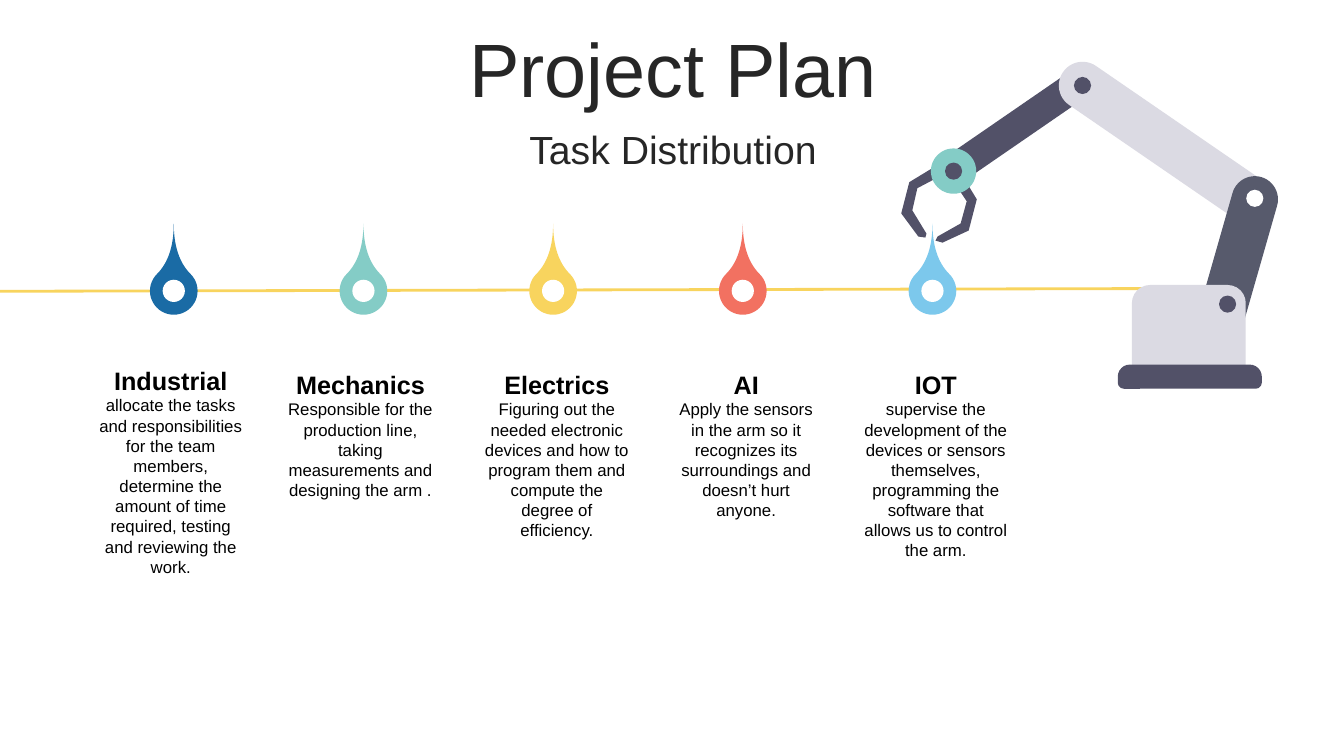
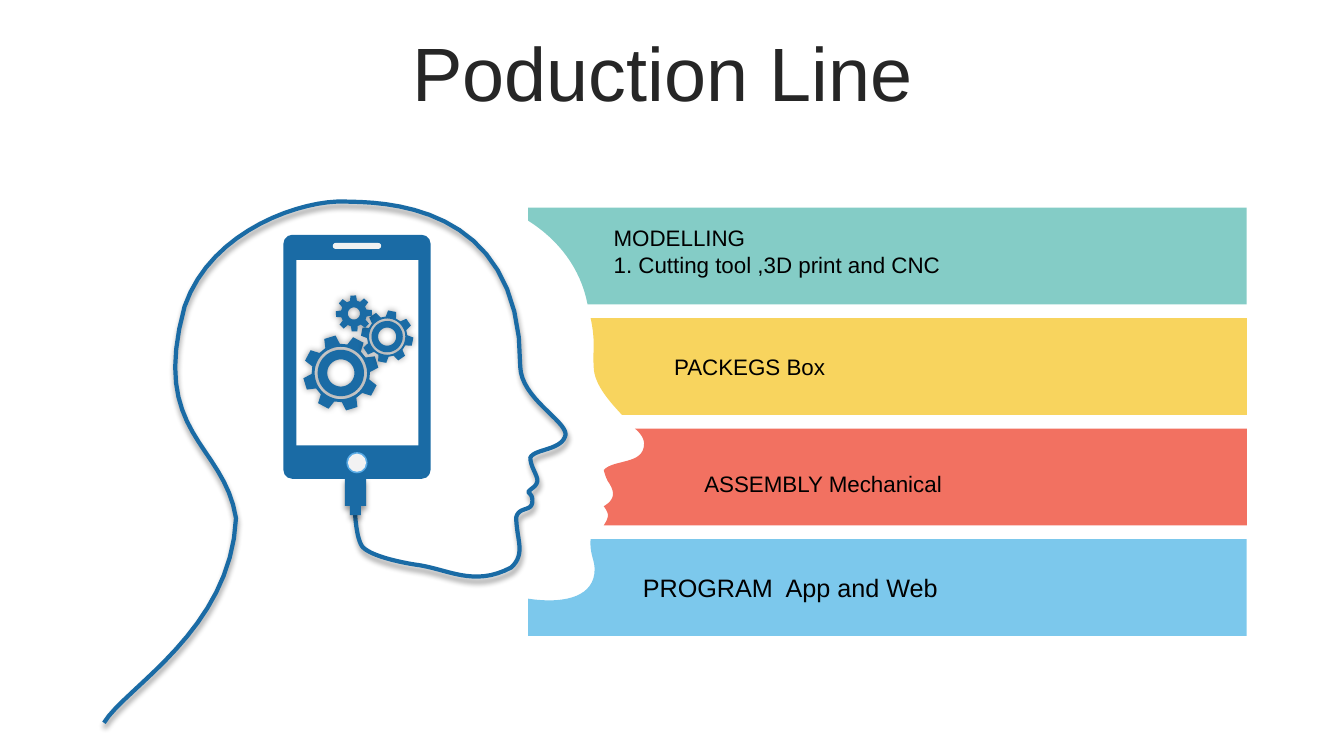
"""Builds a two-slide deck: a project task timeline and a production line."""
import dataclasses
import math

import lxml.etree
import pptx
import pptx.dml.color
import pptx.enum.shapes
import pptx.enum.text
import pptx.oxml.ns
import pptx.util

Cm = pptx.util.Cm
Pt = pptx.util.Pt
SHAPE = pptx.enum.shapes.MSO_SHAPE
ALIGN = pptx.enum.text.PP_ALIGN

FONT = "Arial"
BLACK, WHITE, TITLE = "000000", "FFFFFF", "262626"
BLUE, TEAL, YELLOW, RED, SKY = "1A6BA5", "84CCC6", "F8D45E", "F27161", "7CC8EC"
SLATE, STEEL, PALE, PAPER, RIM = "525168", "575A6C", "DBDAE3", "F2F2F2", "5AABE5"

TASKS = [
    (BLUE, 2.21, 9.07, "Industrial",
     "allocate the tasks and responsibilities for the team members, "
     "determine the amount of time required, testing and reviewing the work."),
    (TEAL, 6.99, 9.17, "Mechanics",
     "Responsible for the production line, taking measurements and "
     "designing the arm ."),
    (YELLOW, 11.94, 9.17, "Electrics",
     "Figuring out the needed electronic devices and how to program them "
     "and compute the degree of efficiency."),
    (RED, 16.71, 9.17, "AI",
     "Apply the sensors in the arm so it recognizes its surroundings and "
     "doesn’t hurt anyone."),
    (SKY, 21.49, 9.17, "IOT",
     "supervise the development of the devices or sensors themselves, "
     "programming the software that allows us to control the arm."),
]

BARS = [
    (TEAL, "M 0 0 L 713 0 L 713 96 L 59 96 C 52 60 30 32 0 13",
     75, 12, 16, ["MODELLING", "1. Cutting tool ,3D print and CNC"]),
    (YELLOW, "M 62 0 L 713 0 L 713 96 L 93 96 C 82 84 65 66 65 48 "
     "C 64 30 67 24 62 0",
     135, 30, 16, ["PACKEGS Box"]),
    (RED, "M 106 0 L 713 0 L 713 96 L 75 96 C 80 88 81 85 75 77 "
     "C 87 70 86 62 79 52 C 77 48 76 45 75 41 C 85 30 115 36 115 15 "
     "C 115 10 112 5 106 0",
     165, 36, 16, ["ASSEMBLY Mechanical"]),
    (SKY, "M 62 0 L 713 0 L 713 96 L 0 96 L 0 59 C 40 65 66 55 66 30 "
     "C 66 20 61 15 62 0",
     104, 28, 18, ["PROGRAM  App and Web"]),
]

HEAD = (
    "M 249 307 C 249 307 250 336 257 343 C 264 350 284 356 308 360 "
    "C 341 364 366 383 404 363 C 419 349 409 335 409 313 "
    "C 412 302 425 308 425 297 C 425 291 423 291 421 288 "
    "C 424 284 429 283 430 277 C 430 271 423 263 423 254 "
    "C 427 245 455 247 458 231 C 458 217 414 195 413 164 "
    "C 414 -3 270 1 239 0 C 200 -2 107 26 80 104 "
    "C 45 231 119 239 131 314 C 126 425 21 482 0 517"
)
PLUG = "M 239 274 L 260 274 L 260 302 L 255 302 L 255 311 L 244 311 L 244 302 L 239 302"
CLAWS = [
    "M 65 115 L 79 138 L 71 169 L 45 181 L 38 179 L 40 175 L 63 162 L 69 140 L 57 122",
    "M 35 107 L 12 121 L 4 152 L 21 175 L 28 176 L 29 172 L 15 149 L 20 127 L 39 117",
]


@dataclasses.dataclass
class Region:
    """A box on a page with its own drawing grid."""
    page: object
    left: int
    top: int
    width: int
    columns: float

    def size(self, value):
        """Turns a grid length into a slide length."""
        return pptx.util.Emu(round(value * self.width / self.columns))

    def place(self, x, y):
        """Turns a grid point into a slide point."""
        return self.left + self.size(x), self.top + self.size(y)


def rgb(value):
    """Returns the colour for a hex string."""
    return pptx.dml.color.RGBColor.from_string(value)


def paint(shape, fill=None, line=None, weight=3, shadow=None):
    """Sets fill, line and an optional (blur, distance, angle) shadow."""
    shape.shadow.inherit = False
    if fill:
        shape.fill.solid()
        shape.fill.fore_color.rgb = rgb(fill)
    else:
        shape.fill.background()
    if line:
        shape.line.color.rgb = rgb(line)
        shape.line.width = Pt(weight)
    else:
        shape.line.fill.background()
    if shadow:
        blur, distance, angle = shadow
        name = pptx.oxml.ns.qn
        effects = shape.element.spPr.find(name("a:effectLst"))
        outer = lxml.etree.SubElement(
            effects, name("a:outerShdw"), blurRad=str(Pt(blur)),
            dist=str(Pt(distance)), dir=str(angle * 60000), rotWithShape="0")
        tone = lxml.etree.SubElement(outer, name("a:srgbClr"), val=BLACK)
        lxml.etree.SubElement(tone, name("a:alpha"), val="40000")


def add_preset(region, kind, x, y, width, height, fill, adjustments=()):
    """Adds a preset shape at grid coordinates."""
    shape = region.page.shapes.add_shape(
        kind, *region.place(x, y), region.size(width), region.size(height))
    for index, value in enumerate(adjustments):
        shape.adjustments[index] = value
    paint(shape, fill)
    return shape


def add_disc(region, x, y, radius, fill):
    """Adds a circle around a grid point."""
    add_preset(region, SHAPE.OVAL, x - radius, y - radius, 2 * radius, 2 * radius, fill)


def add_capsule(region, start, end, thickness, fill):
    """Adds a round-ended bar between two grid points."""
    run, rise = end[0] - start[0], end[1] - start[1]
    length = math.hypot(run, rise) + thickness
    x = (start[0] + end[0] - length) / 2
    y = (start[1] + end[1] - thickness) / 2
    bar = add_preset(region, SHAPE.ROUNDED_RECTANGLE, x, y, length, thickness, fill, [0.5])
    bar.rotation = math.degrees(math.atan2(rise, run))


def trace(outline, steps=16):
    """Turns M, L and C commands into a list of points."""
    points = []
    for command in outline.replace("L", "|L").replace("C", "|C").split("|"):
        letter, *numbers = command.split()
        values = [float(number) for number in numbers]
        pairs = list(zip(values[::2], values[1::2]))
        if letter != "C":
            points += pairs
            continue
        knots = [points[-1]] + pairs
        for step in range(1, steps + 1):
            t = step / steps
            weights = [math.comb(3, k) * t ** k * (1 - t) ** (3 - k) for k in range(4)]
            points.append(tuple(
                sum(weight * knot[axis] for weight, knot in zip(weights, knots))
                for axis in (0, 1)))
    return points


def add_outline(region, contours, closed=True, **style):
    """Adds one freeform made of several contours."""
    builder = None
    for contour in contours:
        first, *rest = [region.place(*point) for point in contour]
        if builder is None:
            builder = region.page.shapes.build_freeform(*first)
        else:
            builder.move_to(*first)
        builder.add_line_segments(rest, close=closed)
    paint(builder.convert_to_shape(), **style)


def write(frame, lines, align=ALIGN.LEFT, color=BLACK):
    """Writes (text, size, bold) lines as paragraphs."""
    frame.word_wrap = True
    for index, (text, size, bold) in enumerate(lines):
        para = frame.add_paragraph() if index else frame.paragraphs[0]
        para.text = text
        para.alignment = align
        para.font.name = FONT
        para.font.size = Pt(size)
        para.font.bold = bold
        para.font.color.rgb = rgb(color)


def fill_heading(holder, top, text, size):
    """Moves and formats a heading placeholder."""
    holder.left, holder.top = Cm(0.88), Cm(top)
    holder.width, holder.height = Cm(32.16), Cm(2)
    frame = holder.text_frame
    write(frame, [(text, size, False)], ALIGN.CENTER, TITLE)
    frame.auto_size = pptx.enum.text.MSO_AUTO_SIZE.NONE
    frame.vertical_anchor = pptx.enum.text.MSO_ANCHOR.MIDDLE
    para = frame.paragraphs[0]
    para.line_spacing = 0.9
    para.space_before = Pt(0)
    properties = para._p.get_or_add_pPr()
    properties.set("marL", "0")
    properties.set("indent", "0")
    lxml.etree.SubElement(properties, pptx.oxml.ns.qn("a:buNone"))
    properties.append(properties.find(pptx.oxml.ns.qn("a:defRPr")))


def add_timeline(region):
    """Draws the line, the pins and the task texts."""
    shapes = region.page.shapes
    line = shapes.add_connector(
        pptx.enum.shapes.MSO_CONNECTOR.STRAIGHT, *region.place(0, 7.34), *region.place(29.6, 7.27))
    line.line.color.rgb = rgb(YELLOW)
    line.line.width = Pt(2)
    lxml.etree.SubElement(line.element.spPr, pptx.oxml.ns.qn("a:effectLst"))
    for index, (color, left, top, name, duty) in enumerate(TASKS):
        x = 3.78 + index * 4.78
        pin = add_preset(region, SHAPE.TEAR, x, 6.73, 1.2, 1.2, color, [2])
        pin.rotation = 315
        add_disc(region, x + 0.6, 7.33, 0.28, WHITE)
        label = shapes.add_textbox(*region.place(left, top), region.size(4.19), region.size(4.6))
        write(label.text_frame, [(name, 18, True), (duty, 12, False)], ALIGN.CENTER)


def add_robot_arm(region):
    """Draws the robot arm with its claw and base."""
    add_capsule(region, (57, 108), (182, 22), 30, SLATE)
    for claw in CLAWS:
        add_outline(region, [trace(claw)], fill=SLATE)
    add_capsule(region, (184, 25), (350, 139), 47, PALE)
    add_capsule(region, (355, 138), (323, 250), 46, STEEL)
    add_preset(region, SHAPE.ROUND_2_SAME_RECTANGLE, 233, 223, 113, 90, PALE, [0.2, 0.07])
    add_preset(region, SHAPE.ROUND_2_SAME_RECTANGLE, 219, 302, 143, 24, SLATE, [0.5, 0.25])
    for x, y, radius, fill in [(184, 25, 8.5, SLATE), (355, 137, 8.5, WHITE),
                               (328, 242, 8.5, SLATE), (56, 110, 22.5, TEAL),
                               (56, 110, 8.5, SLATE)]:
        add_disc(region, x, y, radius, fill)


def add_gear(region, x, y, tip, root, rings, turn):
    """Draws an eight-toothed gear with ring cut-outs."""
    def polar(radius, degrees):
        angle = math.radians(degrees)
        return x + radius * math.cos(angle), y + radius * math.sin(angle)

    profile = [(root, -15), (tip, -9), (tip, 9), (root, 15)]
    teeth = [polar(radius, turn + 45 * tooth + offset)
             for tooth in range(8) for radius, offset in profile]
    circles = [[polar(radius, step * 7.5) for step in range(48)] for radius in rings]
    add_outline(region, [teeth] + circles, fill=BLUE, shadow=(5, 0, 0))


def add_head(region):
    """Draws the head outline with the phone and gears."""
    shadow = (4, 3, 90)
    add_outline(region, [trace(HEAD)], closed=False, line=BLUE, shadow=shadow)
    add_outline(region, [trace(PLUG)], fill=BLUE, shadow=shadow)
    add_preset(region, SHAPE.ROUNDED_RECTANGLE, 178, 33, 146, 242, BLUE, [0.06])
    add_preset(region, SHAPE.RECTANGLE, 191, 58, 121, 184, WHITE)
    add_preset(region, SHAPE.ROUNDED_RECTANGLE, 227, 41, 48, 6, PAPER, [0.5])
    add_disc(region, 251, 259, 10.5, RIM)
    add_disc(region, 251, 259, 9, PAPER)
    add_gear(region, 235, 170, 37.5, 29, [26, 23, 13.5], -107)
    add_gear(region, 281, 134, 26, 20, [18, 15.5, 9], -124)
    add_gear(region, 248, 111, 18, 13, [6], -92)


def add_bars(region):
    """Draws the stage bars and their labels."""
    for index, (color, outline, left, top, size, lines) in enumerate(BARS):
        y = index * 109.7
        bar = [(px, py + y) for px, py in trace(outline)]
        add_outline(region, [bar], fill=color)
        label = region.page.shapes.add_textbox(
            *region.place(left, y + top), region.size(506), region.size(37 * len(lines)))
        write(label.text_frame, [(line, size, False) for line in lines])


def add_plan_page(deck):
    """Adds the project plan slide."""
    page = deck.slides.add_slide(deck.slide_layouts[1])
    fill_heading(page.shapes.title, 0.85, "Project Plan", 54)
    fill_heading(page.placeholders[1], 2.83, "Task Distribution", 28)
    add_timeline(Region(page, 0, 0, deck.slide_width, 33.87))
    add_robot_arm(Region(page, Cm(22.61), Cm(1.52), Cm(9.19), 362))


def add_production_page(deck):
    """Adds the production line slide."""
    page = deck.slides.add_slide(deck.slide_layouts[5])
    fill_heading(page.shapes.title, 0.94, "Poduction Line ", 54)
    add_bars(Region(page, Cm(13.31), Cm(5.23), Cm(18.11), 713))
    add_head(Region(page, Cm(2.62), Cm(5.08), Cm(11.66), 459))


def main():
    """Builds and saves the deck."""
    deck = pptx.Presentation()
    deck.slide_width, deck.slide_height = Cm(33.87), Cm(19.05)
    add_plan_page(deck)
    add_production_page(deck)
    deck.save("out.pptx")


if __name__ == "__main__":
    main()
